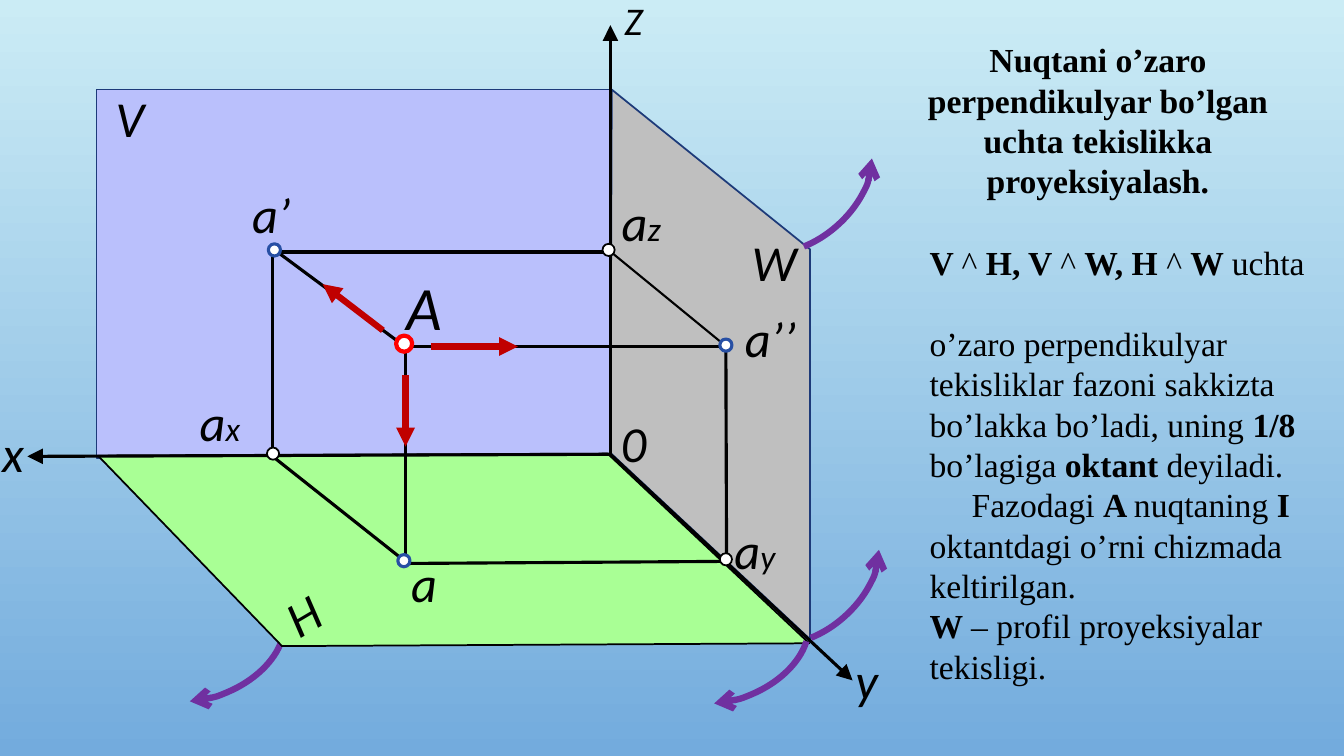
from lxml import etree
from pptx import Presentation
from pptx import util as u
from pptx.dml.color import RGBColor
from pptx.enum import shapes, text
from pptx.oxml.ns import qn

Pt = u.Pt
BLACK = RGBColor(0x00, 0x00, 0x00)
WHITE = RGBColor(0xFF, 0xFF, 0xFF)
SKY_TOP = RGBColor(0xCB, 0xEC, 0xF5)
SKY_BOTTOM = RGBColor(0x73, 0xAB, 0xDD)
LILAC = RGBColor(0xBA, 0xC0, 0xFC)
GREEN = RGBColor(0xA9, 0xFF, 0x95)
GREY = RGBColor(0xBF, 0xBF, 0xBF)
NAVY = RGBColor(0x1D, 0x3A, 0x79)
BLUE = RGBColor(0x27, 0x4F, 0xA4)
PURPLE = RGBColor(0x70, 0x30, 0xA0)
DARK_RED = RGBColor(0xC0, 0x00, 0x00)
RED = RGBColor(0xFF, 0x00, 0x00)

LABEL = {"name": "Calibri", "size": Pt(36), "italic": True}
BODY = {"name": "Times New Roman", "size": Pt(24)}
LINE_GAP = 29.3


class Drawing:
    def __init__(self, slide):
        self.s = slide

    def background(self, top, bottom):
        fill = self.s.background.fill
        fill.gradient()
        fill.gradient_angle = 270
        for stop, color, pos in zip(fill.gradient_stops, (top, bottom), (0, 1)):
            stop.color.rgb = color
            stop.position = pos

    def outline(self, sp, color, width, end=None, kind="triangle", size="med"):
        sp.line.color.rgb = color
        sp.line.width = Pt(width)
        if end:
            ln = sp.line._get_or_add_ln()
            etree.SubElement(ln, qn("a:" + end), type=kind, w=size, len=size)

    def finish(self, sp, fill, color, width):
        sp.shadow.inherit = False
        if fill is None:
            sp.fill.background()
        else:
            sp.fill.solid()
            sp.fill.fore_color.rgb = fill
        self.outline(sp, color, width)
        return sp

    def preset(self, kind, box, fill, color, width):
        sp = self.s.shapes.add_shape(kind, *map(Pt, box))
        return self.finish(sp, fill, color, width)

    def plane(self, points, fill, color):
        pts = [(Pt(x), Pt(y)) for x, y in points]
        fb = self.s.shapes.build_freeform(*pts[0])
        fb.add_line_segments(pts[1:], close=True)
        return self.finish(fb.convert_to_shape(), fill, color, 1.25)

    def dot(self, x, y, color, width, d=8.7):
        box = (x - d / 2, y - d / 2, d, d)
        self.preset(shapes.MSO_SHAPE.OVAL, box, WHITE, color, width)

    def turn(self, x, y, angle, end):
        sp = self.preset(shapes.MSO_SHAPE.ARC, (x, y, 76, 116), None, PURPLE, 4.5)
        sp.adjustments[0], sp.adjustments[1] = 173.804, 23.298
        sp.rotation = angle
        self.outline(sp, PURPLE, 4.5, end, "arrow")

    def line(self, start, stop, color=BLACK, width=2.25, end=None, size="med"):
        ends = map(Pt, (*start, *stop))
        sp = self.s.shapes.add_connector(shapes.MSO_CONNECTOR.STRAIGHT, *ends)
        self.outline(sp, color, width, end, size=size)
        etree.SubElement(sp._element.spPr, qn("a:effectLst"))

    def textbox(self, x, y, w, h):
        sp = self.s.shapes.add_textbox(*map(Pt, (x, y, w, h)))
        sp.text_frame.word_wrap = True
        return sp

    def run(self, p, words, fmt):
        r = p.add_run()
        r.text = words
        r.font.color.rgb = BLACK
        for key, value in fmt.items():
            setattr(r.font, key, value)

    def label(self, x, y, w, words, sub="", size=36, angle=0):
        sp = self.textbox(x, y, w, 51)
        sp.rotation = angle
        p = sp.text_frame.paragraphs[0]
        self.run(p, words, {**LABEL, "size": Pt(size)})
        if sub:
            self.run(p, sub, {**LABEL, "size": Pt(24)})

    def article(self, box, paragraphs):
        tf = self.textbox(*box).text_frame
        for i, (left, right, indent, fmt, runs) in enumerate(paragraphs):
            p = tf.add_paragraph() if i else tf.paragraphs[0]
            pPr = p._p.get_or_add_pPr()
            for key, value in {"marL": left, "marR": right, "indent": indent}.items():
                pPr.set(key, str(Pt(value)))
            for key, value in fmt.items():
                setattr(p, key, value)
            # Every second run is bold
            for k, words in enumerate(runs):
                if words:
                    self.run(p, words, {**BODY, "bold": k % 2 == 1})


def main():
    prs = Presentation()
    prs.slide_width, prs.slide_height = Pt(960), Pt(540)
    d = Drawing(prs.slides.add_slide(prs.slide_layouts[6]))
    d.background(SKY_TOP, SKY_BOTTOM)
    d.turn(109.5, 401.5, 67.2, "tailEnd")

    # Explanation on the right
    gap = {"space_before": Pt(LINE_GAP)}
    d.article((609, 24.5, 340.5, 443.5), [
        (44, 34, 0, {"alignment": text.PP_ALIGN.CENTER},
         ["", "Nuqtani o’zaro perpendikulyar bo’lgan uchta tekislikka proyeksiyalash."]),
        (48, 0, 0, gap, ["", "V ", "^ ", "H, V ", "^ ", "W, H ", "^ ", "W ", "uchta"]),
        (48, 0, 0, gap, ["o’zaro perpendikulyar"]),
        (48, 0, 0, {}, ["tekisliklar fazoni sakkizta"]),
        (48, 0, 0, {}, ["bo’lakka bo’ladi, uning ", "1/8"]),
        (48, 0, 0, {}, ["bo’lagiga ", "oktant ", "deyiladi."]),
        (48, 0, 30, {}, ["Fazodagi ", "A ", "nuqtaning ", "I"]),
        (48, 0, 0, {}, ["oktantdagi o’rni chizmada keltirilgan."]),
        (48, 0, 0, {}, ["", "W ", "– profil proyeksiyalar tekisligi."]),
    ])

    # Projection planes V, H and W
    d.preset(shapes.MSO_SHAPE.RECTANGLE, (69, 64, 368, 263), LILAC, NAVY, 1.25)
    d.plane([(70, 325.5), (434, 324), (578, 459.5), (201.5, 461.5)], GREEN, BLACK)
    d.plane([(437, 64), (578.5, 178), (578.5, 456.5), (436, 323.5)], GREY, NAVY)

    # Axes x, y and z
    for start, tip in [((436, 324.5), (19.5, 326)),
                       ((435.5, 324), (609, 486)),
                       ((436, 326), (436, 18))]:
        d.line(start, tip, end="tailEnd", size="lg")

    # Projection lines
    d.line((437, 180.5), (520, 248.5), width=1.5)
    for start, stop in [((436.5, 180), (201, 180)),
                        ((288.5, 247), (197.5, 179.5)),
                        ((522, 247.5), (287.5, 247.5)),
                        ((287.5, 399.5), (196, 327)),
                        ((517.5, 401), (287.5, 402.5)),
                        ((519, 402.5), (518.5, 250.5)),
                        ((194.7, 327), (194.7, 183)),
                        ((289.7, 402.5), (289.7, 252))]:
        d.line(start, stop)

    # Projection directions
    for start, tip in [((273.5, 236), (230.5, 203)),
                       ((308, 247.5), (370, 247.5)),
                       ((289.7, 268), (289.7, 319))]:
        d.line(start, tip, DARK_RED, 4.5, "tailEnd")

    # Turning of the planes
    d.turn(534.5, 75, 48.9, "headEnd")
    d.turn(484, 403, 67.2, "tailEnd")
    d.turn(539.5, 354.5, 48.9, "headEnd")

    # Projections, axis points and the point A
    for x, y in [(518.5, 246.5), (288.5, 400.5), (196, 178.5)]:
        d.dot(x, y, BLUE, 2.25)
    for x, y in [(518.5, 399.5), (434.7, 178.5), (195, 324)]:
        d.dot(x, y, BLACK, 1.25)
    d.dot(288.7, 245.5, RED, 3, 11.5)

    # Letters
    d.label(75.5, 58.5, 37, "V")
    d.label(198.5, 414.5, 34, "H", angle=329.5)
    d.label(530, 161.5, 41, "W")
    d.label(-5.5, 298, 25, "x")
    d.label(604, 460, 64, "y")
    d.label(439, -6.5, 64, "Z", size=28)
    d.label(436.5, 291, 64, "0")
    d.label(283.5, 188.5, 41, "A", size=44)
    d.label(286.5, 391, 29, "a")
    d.label(173, 127.5, 42.5, "a’")
    d.label(525, 215.5, 52.5, "a’’")
    d.label(437, 133, 73.5, "a", "z")
    d.label(517.5, 367, 73.5, "a", "y")
    d.label(135.5, 276, 48, "a", "x")

    prs.save("out.pptx")


if __name__ == "__main__":
    main()
